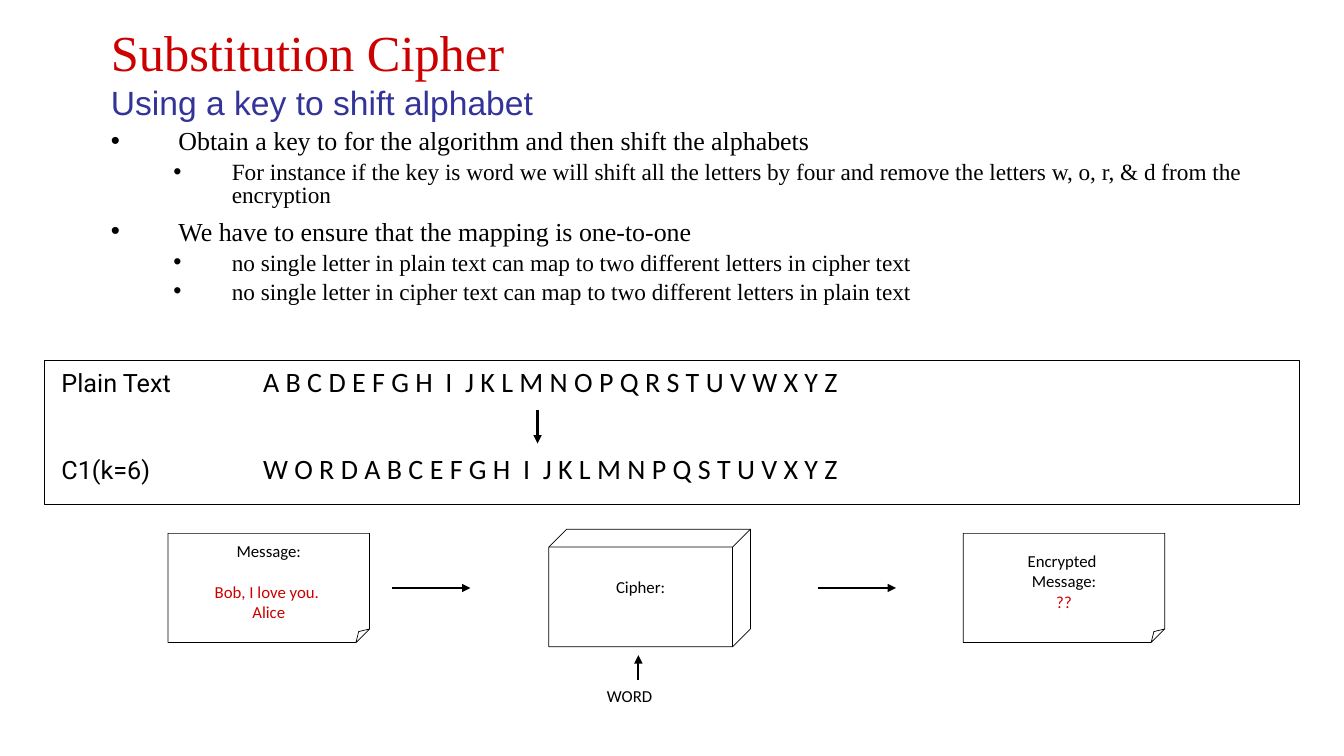
"""Build the slide that explains the substitution cipher."""
from lxml import etree
from pptx import Presentation
from pptx.dml.color import RGBColor
from pptx.enum.shapes import MSO_CONNECTOR, MSO_SHAPE
from pptx.enum.text import MSO_ANCHOR, MSO_AUTO_SIZE, PP_ALIGN
from pptx.oxml.ns import qn
from pptx.util import Inches, Pt

COLORS = {"text": "000000", "accent": "CC0000", "subtitle": "333399"}
SERIF, SANS, BODY, LABEL = "Times New Roman", "Arial", "Calibri", "Roboto"
COLUMNS, ROWS = 120, 90
LEFT, CENTER = PP_ALIGN.LEFT, PP_ALIGN.CENTER
TOP, MIDDLE = MSO_ANCHOR.TOP, MSO_ANCHOR.MIDDLE
RECTANGLE, CUBE, NOTE = MSO_SHAPE.RECTANGLE, MSO_SHAPE.CUBE, MSO_SHAPE.FOLDED_CORNER
STRAIGHT = MSO_CONNECTOR.STRAIGHT
FIXED = MSO_AUTO_SIZE.NONE

LEVELS = [
    {"margin": 0.67, "hanging": 0.67, "before": 10, "size": 18.5},
    {"margin": 1.2, "hanging": 0.58, "before": 5, "size": 16.6},
]
BULLETS = [
    (0, "Obtain a key to for the algorithm and then shift the alphabets"),
    (1, "For instance if the key is word we will shift all the letters by four "
        "and remove the letters w, o, r, & d from the encryption"),
    (0, "We have to ensure that the mapping is one-to-one"),
    (1, "no single letter in plain text can map to two different letters in cipher text"),
    (1, "no single letter in cipher text can map to two different letters in plain text"),
]
ALPHABETS = [
    (42.84, "Plain Text", "A B C D E F G H  I  J K L M N O P Q R S T U V W X Y Z"),
    (53.16, "C1(k=6)", "W O R D A B C E F G H  I  J K L M N P Q S T U V X Y Z"),
]
MESSAGE = [("Message:", "text", 0), ("Bob, I love you. ", "accent", 14.65), ("Alice", "accent", 0)]
ENCRYPTED = [("Encrypted ", "text", 0), ("Message:", "text", 0), ("??", "accent", 0)]
ARROWS = [(48, 48.84, 48, 52.8, 2), (35, 70, 42, 70, 1.5), (73, 70, 80, 70, 1.5),
          (57, 81, 57, 78, 1.5)]


class CipherSlide:
    """Draw styled elements on a grid laid over the slide."""

    def __init__(self, presentation):
        self.slide = presentation.slides.add_slide(presentation.slide_layouts[1])
        self.column = presentation.slide_width / COLUMNS
        self.row = presentation.slide_height / ROWS

    def grid(self, *values):
        """Turn alternating columns and rows into lengths."""
        units = (self.column, self.row)
        return [round(value * units[index % 2]) for index, value in enumerate(values)]

    def place(self, shape, *area):
        """Move a placeholder to an area of the grid."""
        shape.left, shape.top, shape.width, shape.height = self.grid(*area)

    def frame(self, shape, anchor, wrap=True):
        """Prepare the text frame of a shape."""
        frame = shape.text_frame
        frame.auto_size = FIXED
        frame.word_wrap = wrap
        frame.vertical_anchor = anchor
        return frame

    def paragraph(self, frame, index):
        """Return the first paragraph of a frame or add another."""
        return frame.add_paragraph() if index else frame.paragraphs[0]

    def run(self, paragraph, text, font, size, color="text"):
        """Add one formatted run."""
        run = paragraph.add_run()
        run.text = text
        run.font.name = font
        run.font.size = Pt(size)
        run.font.color.rgb = RGBColor.from_string(COLORS[color])

    def title(self, heading, subheading):
        """Fill the title placeholder with two lines."""
        shape = self.slide.shapes.title
        self.place(shape, 9, 1, 102, 15)
        paragraph = self.frame(shape, MIDDLE).paragraphs[0]
        paragraph.alignment = LEFT
        self.run(paragraph, heading, SERIF, 36, "accent")
        paragraph.add_line_break()
        self.run(paragraph, subheading, SANS, 24, "subtitle")

    def bullets(self, items):
        """Fill the body placeholder with a two-level list."""
        shape = self.slide.placeholders[1]
        self.place(shape, 9, 15, 108, 23)
        frame = self.frame(shape, TOP)
        for index, (level, text) in enumerate(items):
            style = LEVELS[level]
            paragraph = self.paragraph(frame, index)
            properties = paragraph._p.get_or_add_pPr()
            properties.set("marL", str(Inches(style["margin"])))
            properties.set("indent", str(-Inches(style["hanging"])))
            etree.SubElement(properties, qn("a:buFont"), typeface=SANS)
            etree.SubElement(properties, qn("a:buChar"), char="•")
            paragraph.level = level
            paragraph.line_spacing = 0.8
            paragraph.space_before = Pt(style["before"] if index else 0)
            self.run(paragraph, text, SERIF, style["size"])

    def text_box(self, *area):
        """Add a text box and return its paragraph."""
        shape = self.slide.shapes.add_textbox(*self.grid(*area))
        return self.frame(shape, TOP).paragraphs[0]

    def alphabet(self, row, label, letters):
        """Add a label and its letters, aligned by a tab stop."""
        paragraph = self.text_box(4.6, row, 111, 5.3)
        tabs = etree.SubElement(paragraph._p.get_or_add_pPr(), qn("a:tabLst"))
        etree.SubElement(tabs, qn("a:tab"), pos=str(Inches(2)), algn="l")
        self.run(paragraph, label, LABEL, 18)
        self.run(paragraph, "\t" + letters, BODY, 20)

    def box(self, kind, area, lines=(), adjustment=None, bottom=0.05):
        """Add an outlined shape with centred lines of text."""
        shape = self.slide.shapes.add_shape(kind, *self.grid(*area))
        shape.shadow.inherit = False
        shape.fill.background()
        shape.line.color.rgb = RGBColor.from_string(COLORS["text"])
        shape.line.width = Pt(0.5)
        if adjustment:
            guides = shape._element.spPr.find(qn("a:prstGeom")).find(qn("a:avLst"))
            formula = f"val {round(adjustment * 100000)}"
            etree.SubElement(guides, qn("a:gd"), name="adj", fmla=formula)
        frame = self.frame(shape, MIDDLE, wrap=False)
        frame.margin_bottom = Inches(bottom)
        for index, (text, color, before) in enumerate(lines):
            paragraph = self.paragraph(frame, index)
            paragraph.alignment = CENTER
            paragraph.space_before = Pt(before)
            self.run(paragraph, text, BODY, 12, color)

    def arrow(self, *points, width):
        """Add a line with a triangular head at its end."""
        connector = self.slide.shapes.add_connector(STRAIGHT, *self.grid(*points))
        connector.line.color.rgb = RGBColor.from_string(COLORS["text"])
        connector.line.width = Pt(width)
        etree.SubElement(connector.line._get_or_add_ln(), qn("a:tailEnd"), type="triangle")
        etree.SubElement(connector._element.spPr, qn("a:effectLst"))


def main():
    """Build and save the presentation."""
    presentation = Presentation()
    presentation.slide_width = Inches(13.33)
    presentation.slide_height = Inches(7.5)
    slide = CipherSlide(presentation)
    slide.title("Substitution Cipher", "Using a key to shift alphabet")
    slide.bullets(BULLETS)
    slide.box(RECTANGLE, (4, 42.84, 112, 17.2))
    for row, label, letters in ALPHABETS:
        slide.alphabet(row, label, letters)
    for column, lines in ((15, MESSAGE), (86, ENCRYPTED)):
        slide.box(NOTE, (column, 63.5, 18, 13), lines, 0.125)
    slide.box(CUBE, (49, 63, 18, 14), [("Cipher:", "text", 0)], 0.152, bottom=0.25)
    for *points, width in ARROWS:
        slide.arrow(*points, width=width)
    slide.run(slide.text_box(53.3, 81, 7, 4), "WORD", BODY, 12)
    presentation.save("out.pptx")


if __name__ == "__main__":
    main()
